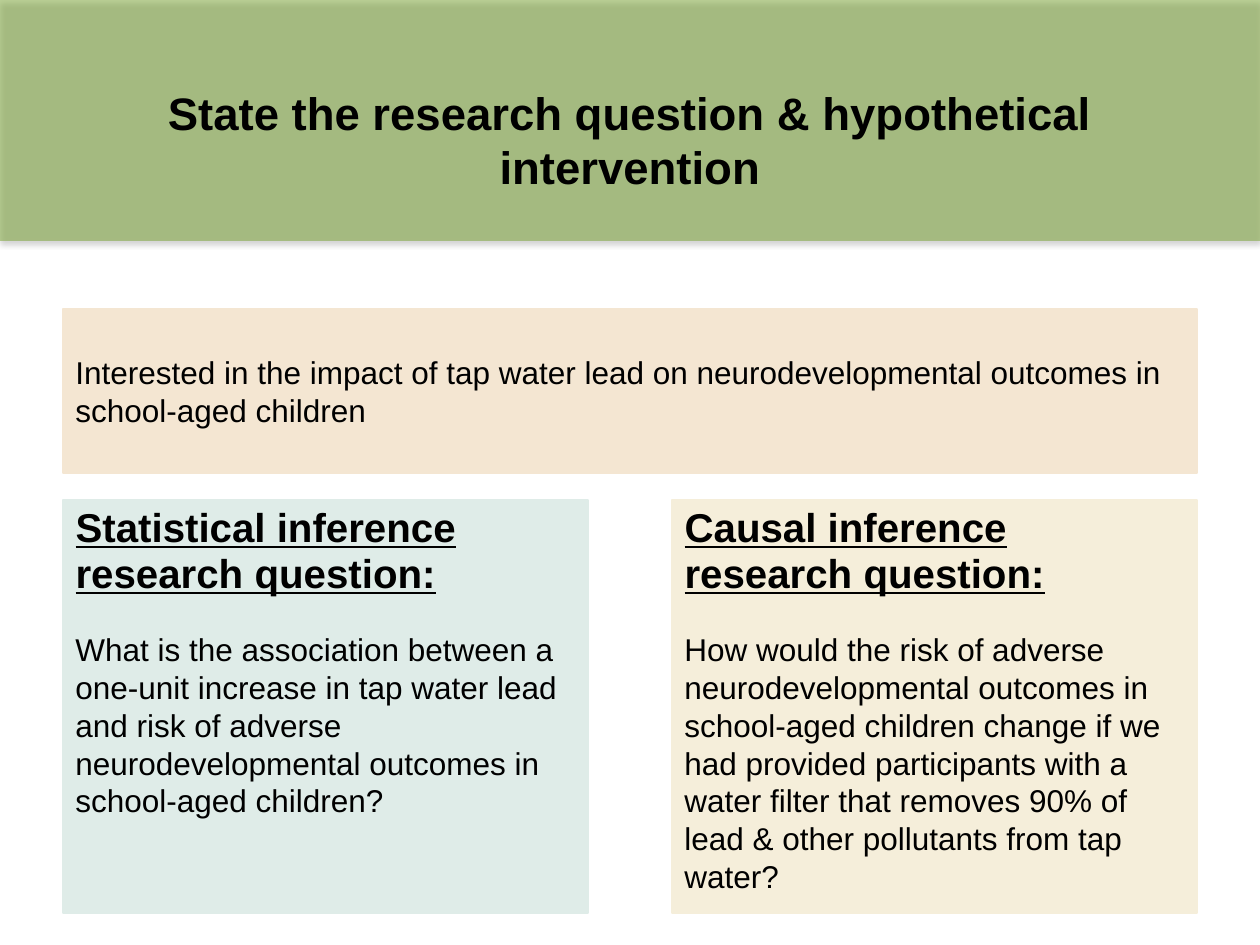
from dataclasses import dataclass

from lxml.etree import SubElement
from pptx import Presentation
from pptx.dml.color import RGBColor
from pptx.enum.shapes import MSO_SHAPE
from pptx.enum.text import MSO_ANCHOR, MSO_AUTO_SIZE, PP_ALIGN
from pptx.oxml.ns import qn
from pptx.util import Emu, Pt

PIXEL = 914400 // 126
LEFT, WIDTH = 63, 1134
COLUMN_WIDTH, COLUMN_STEP = 525, 609
COLUMN_TOP, COLUMN_HEIGHT, QUESTION_TOP = 500, 413, 624


@dataclass(frozen=True)
class Theme:
    font: str = "Arial"
    ink: str = "000000"
    banner: str = "78A32F"
    topic: str = "F4E6D2"
    statistical: str = "DFECE8"
    causal: str = "F5EEDA"
    title_size: int = 26
    heading_size: int = 23
    text_size: int = 18


THEME = Theme()


def pixels(*values):
    return [Emu(value * PIXEL) for value in values]


def place(shape, bounds):
    shape.left, shape.top, shape.width, shape.height = pixels(*bounds)


def paint(shape, color):
    shape.fill.solid()
    shape.fill.fore_color.rgb = RGBColor.from_string(color)
    shape.line.color.rgb = RGBColor.from_string(color)
    shape.line.width = Pt(0.75)


def write(shape, text, size=THEME.text_size, bold=False, underline=False,
          align=PP_ALIGN.LEFT, anchor=MSO_ANCHOR.TOP, spacing=1.0):
    frame = shape.text_frame
    frame.word_wrap = True
    frame.auto_size = MSO_AUTO_SIZE.NONE
    frame.vertical_anchor = anchor
    para = frame.paragraphs[0]
    para.alignment = align
    para.line_spacing = spacing
    para.space_before = Pt(0)
    span = para.add_run()
    span.text = text
    span.font.name = THEME.font
    span.font.size = Pt(size)
    span.font.bold = bold
    span.font.underline = underline
    span.font.color.rgb = RGBColor.from_string(THEME.ink)


def add_rectangle(page, bounds, color):
    box = page.shapes.add_shape(MSO_SHAPE.RECTANGLE, *pixels(*bounds))
    box.shadow.inherit = False
    paint(box, color)
    return box


def add_banner(page):
    banner = add_rectangle(page, (0, 0, 1260, 241), THEME.banner)
    banner.line.fill.background()
    properties = banner.element.spPr
    fill = properties.find(qn("a:solidFill")).find(qn("a:srgbClr"))
    SubElement(fill, qn("a:alpha"), val="50000")
    shadow = SubElement(properties.find(qn("a:effectLst")), qn("a:outerShdw"),
                        blurRad=str(Pt(3.1)), dist=str(Pt(1.8)),
                        dir="5400000", rotWithShape="0")
    shade = SubElement(shadow, qn("a:srgbClr"), val="000000")
    SubElement(shade, qn("a:alpha"), val="35000")
    page.shapes.title.element.addprevious(banner.element)


def add_title(page, text):
    title = page.shapes.title
    place(title, (LEFT, 89, WIDTH, 101))
    write(title, text, size=THEME.title_size, bold=True,
          align=PP_ALIGN.CENTER, anchor=MSO_ANCHOR.MIDDLE)


def add_topic(page, text):
    box = add_rectangle(page, (LEFT, 309, WIDTH, 164), THEME.topic)
    write(box, text, anchor=MSO_ANCHOR.MIDDLE)


def add_column(page, heading_box, left, color, heading, question, height):
    place(heading_box, (left, COLUMN_TOP, COLUMN_WIDTH, COLUMN_HEIGHT))
    paint(heading_box, color)
    write(heading_box, heading, size=THEME.heading_size, bold=True,
          underline=True, spacing=0.95)
    box = page.shapes.add_textbox(
        *pixels(left, QUESTION_TOP, COLUMN_WIDTH, height))
    write(box, question)


def main():
    deck = Presentation()
    deck.slide_width, deck.slide_height = pixels(1260, 945)
    page = deck.slides.add_slide(deck.slide_layouts.get_by_name("Comparison"))
    holders = {holder.placeholder_format.idx: holder
               for holder in page.placeholders}
    for unused in (2, 4):
        element = holders[unused].element
        element.getparent().remove(element)

    add_banner(page)
    add_title(page, "State the research question & hypothetical intervention")
    add_topic(page, "Interested in the impact of tap water lead on "
              "neurodevelopmental outcomes in school-aged children")
    columns = (
        (holders[1], THEME.statistical,
         "Statistical inference research question:",
         "What is the association between a one-unit increase in tap water "
         "lead and risk of adverse neurodevelopmental outcomes in "
         "school-aged children?", 204),
        (holders[3], THEME.causal,
         "Causal inference research question:",
         "How would the risk of adverse neurodevelopmental outcomes in "
         "school-aged children change if we had provided participants with "
         "a water filter that removes 90% of lead & other pollutants from "
         "tap water?", 280),
    )
    for index, (holder, color, heading, question, height) in enumerate(columns):
        add_column(page, holder, LEFT + index * COLUMN_STEP, color,
                   heading, question, height)
    deck.save("out.pptx")


main()
